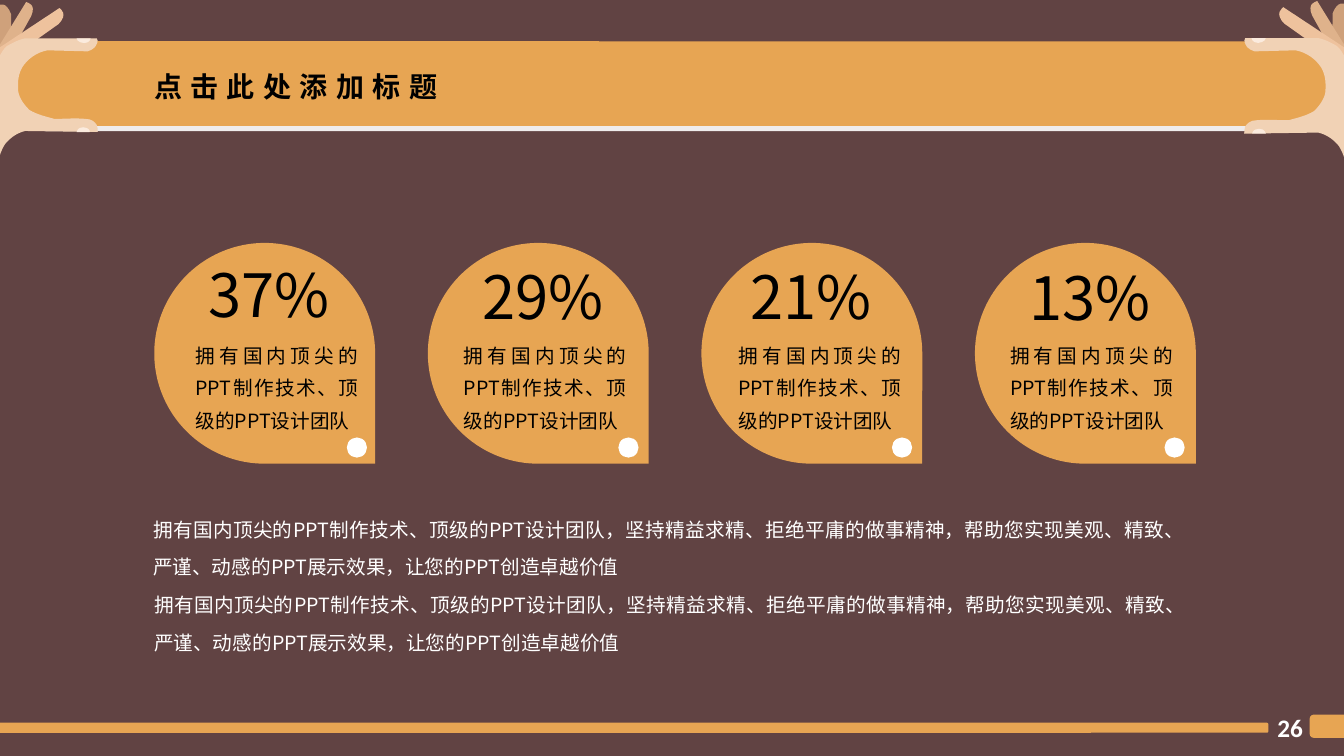
from lxml import etree
from pptx import Presentation
from pptx.dml.color import RGBColor
from pptx.enum import shapes as kinds, text as txt
from pptx.oxml import ns
from pptx.util import Inches, Pt

WINE = RGBColor(0x2D, 0x05, 0x05)
GOLD = RGBColor(0xE7, 0xA5, 0x53)
WHITE = RGBColor(0xFF, 0xFF, 0xFF)
BLACK = RGBColor(0, 0, 0)
TAN = RGBColor(0xCF, 0xA1, 0x7B)
SAND = RGBColor(0xDF, 0xB2, 0x8B)
PEACH = RGBColor(0xEE, 0xC2, 0x9D)
SKIN = RGBColor(0xF1, 0xD2, 0xB5)
NAIL = RGBColor(0xFB, 0xEB, 0xDE)

KIND = kinds.MSO_SHAPE
JUST = txt.PP_ALIGN.JUSTIFY
SANS = "Noto Sans CJK SC"
WIDE, HIGH = 13.33, 7.5

TEAM = "拥有国内顶尖的PPT制作技术、顶级的PPT设计团队"
PITCH = TEAM + "，坚持精益求精、拒绝平庸的做事精神，帮助您实现美观、精致、严谨、动感的PPT展示效果，让您的PPT创造卓越价值"

# Left hand: each outline is a start point, then lines (2 numbers)
# or Bezier curves (6 numbers), in inches from the slide corner.
HAND = [
    (TAN, [(-0.02, 0.75), (-0.02, 0.05), (0, 0.05, 0.06, 0.01, 0.11, 0.14),
           (0.12, 0.85)]),
    (SAND, [(-0.11, 0.62), (0.26, 0.02), (0.28, 0.03, 0.36, 0.04, 0.31, 0.16),
            (-0.04, 0.79)]),
    (PEACH, [(-0.03, 0.49), (0.59, 0.08), (0.6, 0.09, 0.68, 0.14, 0.58, 0.24),
             (-0.04, 0.68)]),
    (SKIN, [(-0.04, 0.69), (-0.02, 0.65, -0.03, 0.59, 0, 0.55),
            (0.03, 0.5, 0.05, 0.46, 0.1, 0.44),
            (0.14, 0.42, 0.17, 0.4, 0.25, 0.38), (0.96, 0.38),
            (0.98, 0.41, 0.96, 0.44, 0.94, 0.47),
            (0.92, 0.49, 0.9, 0.5, 0.87, 0.51), (0.47, 0.5),
            (0.36, 0.52, 0.27, 0.59, 0.22, 0.67),
            (0.17, 0.76, 0.18, 0.84, 0.18, 0.9),
            (0.19, 0.98, 0.25, 1.05, 0.29, 1.09),
            (0.37, 1.14, 0.47, 1.16, 0.54, 1.18),
            (0.65, 1.18, 0.74, 1.17, 0.85, 1.18),
            (0.91, 1.18, 0.94, 1.21, 0.96, 1.24),
            (0.97, 1.27, 0.97, 1.29, 0.97, 1.31), (0.25, 1.3),
            (0.16, 1.32, 0.09, 1.38, 0.05, 1.43),
            (0, 1.51, -0.01, 1.58, -0.04, 1.65)]),
    (NAIL, [(0.76, 0.38), (0.76, 0.39, 0.78, 0.42, 0.8, 0.42),
            (0.82, 0.43, 0.85, 0.43, 0.87, 0.42),
            (0.88, 0.41, 0.9, 0.4, 0.9, 0.38)]),
    (NAIL, [(0.89, 1.31), (0.9, 1.3, 0.87, 1.27, 0.86, 1.27),
            (0.84, 1.26, 0.81, 1.26, 0.79, 1.27),
            (0.78, 1.28, 0.76, 1.29, 0.76, 1.31)]),
]

# Share, then the places of number (x, y), body (x) and dot (x) in the drop.
DROPS = [
    ("37%", 0.44, 0.57, 0.31, 1.91),
    ("29%", 0.44, 0.59, 0.26, 1.89),
    ("21%", 0.39, 0.59, 0.27, 1.89),
    ("13%", 0.44, 0.6, 0.25, 1.88),
]


def paint(shape, color, alpha=None):
    """Fill without line or shadow; alpha is the opacity in percent."""
    shape.shadow.inherit = False
    shape.fill.solid()
    shape.fill.fore_color.rgb = color
    shape.line.fill.background()
    if alpha:
        tone = next(shape._element.spPr.iter(ns.qn("a:srgbClr")))
        etree.SubElement(tone, ns.qn("a:alpha"), val=str(alpha * 1000))
    return shape


def block(slide, kind, color, *box, alpha=None):
    shape = slide.shapes.add_shape(kind, *map(Inches, box))
    return paint(shape, color, alpha)


def label(slide, words, box, size, color, font=SANS, bold=False, wrap=True,
          align=None, line=None, gap=None):
    """Add a one-run text box; line and gap are line and letter spacing in points."""
    frame = slide.shapes.add_textbox(*map(Inches, box)).text_frame
    frame.word_wrap = wrap
    frame.auto_size = txt.MSO_AUTO_SIZE.SHAPE_TO_FIT_TEXT
    para = frame.paragraphs[0]
    para.alignment = align
    if line:
        para.line_spacing = Pt(line)
    run = para.add_run()
    run.text = words
    run.font.size, run.font.bold, run.font.name = Pt(size), bold, font
    run.font.color.rgb = color
    props = run.font._element
    etree.SubElement(props, ns.qn("a:ea"), typeface=font)
    if gap:
        props.set("spc", str(gap * 100))


def bend(shape, steps):
    """Merge each three line segments that stand for a curve into one Bezier."""
    lines = iter(list(shape._element.iter(ns.qn("a:lnTo"))))
    for step in steps[1:]:
        first = next(lines)
        if len(step) == 6:
            first.tag = ns.qn("a:cubicBezTo")
            for _ in range(2):
                extra = next(lines)
                first.append(extra[0])
                extra.getparent().remove(extra)


def hand(slide, edge, lift, wide, tall):
    """Draw a hand from a slide edge; a negative width scale mirrors it."""
    for color, steps in HAND:
        points = [(Inches(edge + wide * step[i]), Inches(tall * step[i + 1] - lift))
                  for step in steps for i in range(0, len(step), 2)]
        build = slide.shapes.build_freeform(*points[0])
        build.add_line_segments(points[1:], close=True)
        shape = paint(build.convert_to_shape(), color)
        bend(shape, steps)


def header(slide, left, top, width):
    block(slide, KIND.ROUNDED_RECTANGLE, WHITE, left + 0.17, top + 0.05, width, 0.84,
          alpha=90)
    block(slide, KIND.ROUNDED_RECTANGLE, GOLD, left, top, width, 0.84)
    hand(slide, 0, 0, 1, 1)
    hand(slide, WIDE, 0.01, -1.02, 1.02)
    label(slide, "点击此处添加标题", (left + 1.3, top + 0.23, 3.54, 0.44),
          20, BLACK, bold=True, gap=6)


def drop(slide, left, top, share, num, rise, body, dot):
    block(slide, KIND.TEAR, GOLD, left, top, 2.19, 2.19).rotation = 90
    label(slide, share, (left + num, top + rise, 1.44, 0.34), 42.6, BLACK,
          wrap=False, line=17.4)
    block(slide, KIND.OVAL, WHITE, left + dot, top + 1.93, 0.2, 0.2)
    label(slide, TEAM, (left + body, top + 0.87, 1.81, 1.07), 14, BLACK,
          align=JUST, line=23)


def footer(slide, top):
    block(slide, KIND.ROUNDED_RECTANGLE, GOLD, -0.11, top + 0.08, 12.69, 0.1)
    block(slide, KIND.ROUNDED_RECTANGLE, GOLD, 12.99, top, 0.57, 0.23)
    label(slide, "26", (12.57, top - 0.07, 0.46, 0.4), 18, WHITE,
          font="Calibri", bold=True, wrap=False)


def main():
    deck = Presentation()
    deck.slide_width, deck.slide_height = Inches(WIDE), Inches(HIGH)
    slide = deck.slides.add_slide(deck.slide_layouts[6])
    block(slide, KIND.RECTANGLE, WINE, 0, 0, WIDE, HIGH, alpha=75)
    header(slide, 0.13, 0.41, 13.2)
    gap = (9.67 - 1.53) / (len(DROPS) - 1)
    for i, parts in enumerate(DROPS):
        drop(slide, 1.53 + gap * i, 2.41, *parts)
    for left, top in ((1.43, 5.7), (1.42, 4.95)):
        label(slide, PITCH, (left, top, 10.43, 0.86), 14, WHITE,
              align=JUST, line=26.6)
    footer(slide, 7.09)
    deck.save("out.pptx")


if __name__ == "__main__":
    main()
